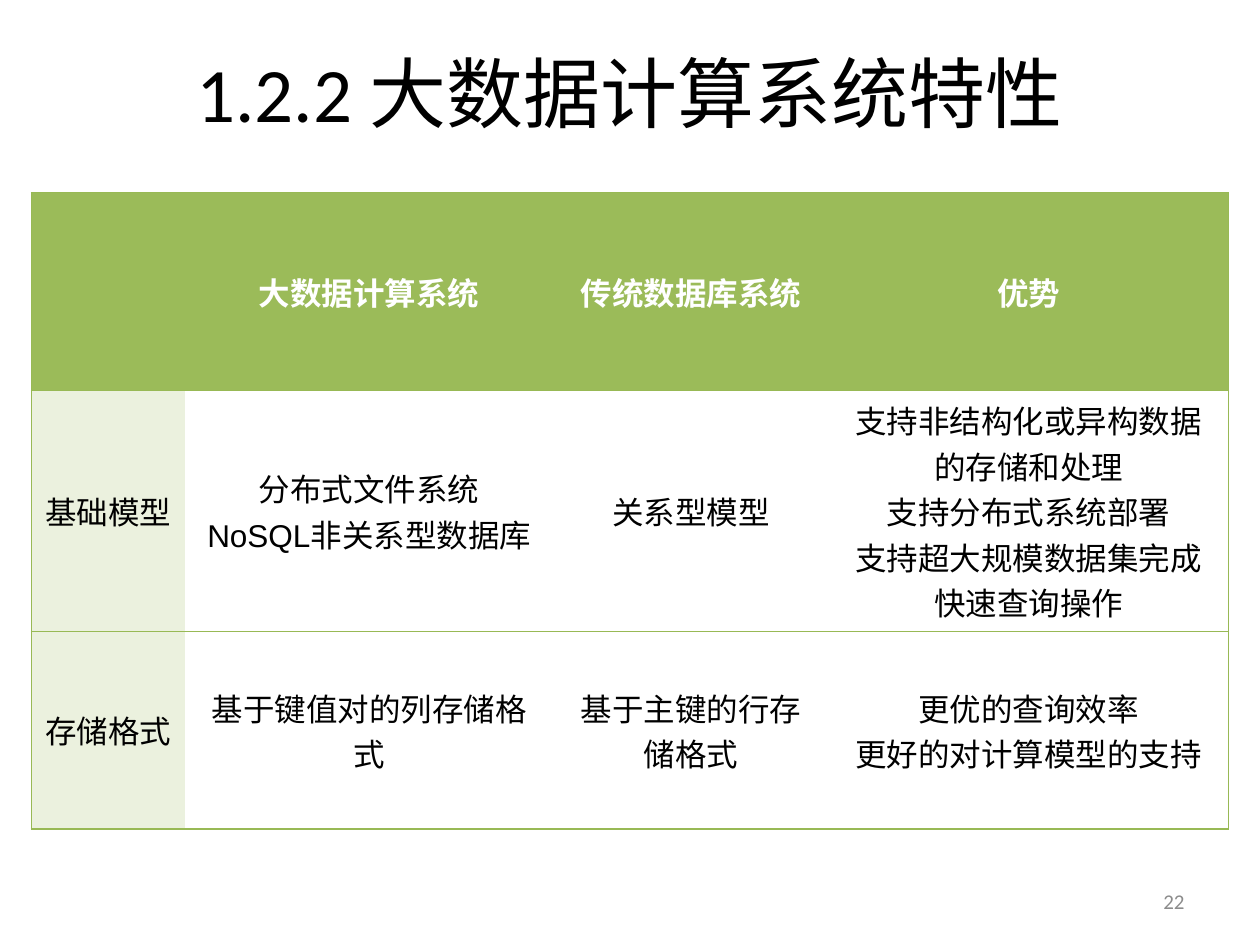
"""Build a slide comparing big data computing systems with traditional databases."""
from dataclasses import dataclass

from lxml import etree
from pptx import Presentation
from pptx.dml.color import RGBColor
from pptx.enum.text import MSO_ANCHOR, PP_ALIGN
from pptx.oxml.ns import qn
from pptx.util import Inches, Pt

CENTER, RIGHT = PP_ALIGN.CENTER, PP_ALIGN.RIGHT
TOP, MIDDLE = MSO_ANCHOR.TOP, MSO_ANCHOR.MIDDLE
BLACK = RGBColor(0x00, 0x00, 0x00)
WHITE = RGBColor(0xFF, 0xFF, 0xFF)
GRAY = RGBColor(0x8C, 0x8C, 0x8C)
GREEN = RGBColor(0x9B, 0xBB, 0x59)
PALE_GREEN = RGBColor(0xEB, 0xF1, 0xDE)
BORDER_GREEN = RGBColor(0x98, 0xB9, 0x55)

COLUMN_WIDTHS = (1.22, 2.92, 2.19, 3.17)
ROW_HEIGHTS = (1.57, 1.91, 1.57)
TABLE_LEFT, TABLE_TOP = 0.25, 1.53
ROWS = (
    ("", "大数据计算系统", "传统数据库系统", "优势"),
    (
        "基础模型",
        "分布式文件系统\nNoSQL非关系型数据库",
        "关系型模型",
        "支持非结构化或异构数据的存储和处理\n支持分布式系统部署\n支持超大规模数据集完成快速查询操作",
    ),
    (
        "存储格式",
        "基于键值对的列存储格式",
        "基于主键的行存储格式",
        "更优的查询效率\n更好的对计算模型的支持",
    ),
)


@dataclass(frozen=True)
class TextStyle:
    size: int
    color: RGBColor
    font: str = "Arial"
    bold: bool = False
    align: PP_ALIGN = CENTER


@dataclass(frozen=True)
class Label:
    text: str
    left: float
    top: float
    width: float
    height: float
    anchor: MSO_ANCHOR
    style: TextStyle


HEADER_STYLE = TextStyle(18, WHITE, bold=True)
BODY_STYLE = TextStyle(18, BLACK)
LABELS = (
    Label("1.2.2 大数据计算系统特性", 0.5, 0.31, 9, 1.25, TOP,
          TextStyle(44, BLACK, "Calibri")),
    Label("22", 7.17, 6.95, 2.33, 0.4, MIDDLE,
          TextStyle(12, GRAY, "Calibri", align=RIGHT)),
)


def write_text(frame, text: str, style: TextStyle) -> None:
    """Write one styled paragraph for each line of text."""
    frame.text = text
    font_format = {"size": Pt(style.size), "name": style.font, "bold": style.bold}
    for para in frame.paragraphs:
        para.alignment = style.align
        for span in para.runs:
            for name, value in font_format.items():
                setattr(span.font, name, value)
            span.font.color.rgb = style.color


def add_label(page, label: Label) -> None:
    """Add a wrapped text box."""
    box = page.shapes.add_textbox(Inches(label.left), Inches(label.top),
                                  Inches(label.width), Inches(label.height))
    box.text_frame.word_wrap = True
    box.text_frame.vertical_anchor = label.anchor
    write_text(box.text_frame, label.text, label.style)


def set_borders(cell, visible: dict[str, bool]) -> None:
    """Draw the visible cell edges and clear the others."""
    properties = cell._tc.get_or_add_tcPr()
    for position, (edge, shown) in enumerate(visible.items()):
        line = etree.Element(qn(f"a:{edge}"), w=str(Pt(0.75)))
        fill = etree.SubElement(line, qn("a:solidFill" if shown else "a:noFill"))
        if shown:
            etree.SubElement(fill, qn("a:srgbClr"), val=str(BORDER_GREEN))
        properties.insert(position, line)


def fill_cell(cell, color: RGBColor | None) -> None:
    """Fill a cell with a color or leave it clear."""
    if color is None:
        cell.fill.background()
    else:
        cell.fill.solid()
        cell.fill.fore_color.rgb = color


def add_comparison_table(page) -> None:
    """Add the comparison with a green header and a pale first column."""
    frame = page.shapes.add_table(
        len(ROWS), len(COLUMN_WIDTHS), Inches(TABLE_LEFT), Inches(TABLE_TOP),
        Inches(sum(COLUMN_WIDTHS)), Inches(sum(ROW_HEIGHTS)))
    table = frame.table
    table.first_row = table.horz_banding = False
    for column, width in zip(table.columns, COLUMN_WIDTHS):
        column.width = Inches(width)
    for row_index, (texts, height) in enumerate(zip(ROWS, ROW_HEIGHTS)):
        table.rows[row_index].height = Inches(height)
        is_header = row_index == 0
        for column_index, text in enumerate(texts):
            cell = table.cell(row_index, column_index)
            cell.vertical_anchor = MIDDLE
            write_text(cell.text_frame, text, HEADER_STYLE if is_header else BODY_STYLE)
            first_column_fill = PALE_GREEN if column_index == 0 else None
            fill_cell(cell, GREEN if is_header else first_column_fill)
            set_borders(cell, {
                "lnL": column_index == 0,
                "lnR": column_index == len(texts) - 1,
                "lnT": True,
                "lnB": True,
            })


def main() -> None:
    """Build and save the deck."""
    deck = Presentation()
    deck.slide_width, deck.slide_height = Inches(10), Inches(7.5)
    page = deck.slides.add_slide(deck.slide_layouts[6])
    for label in LABELS:
        add_label(page, label)
    add_comparison_table(page)
    deck.save("out.pptx")


if __name__ == "__main__":
    main()
